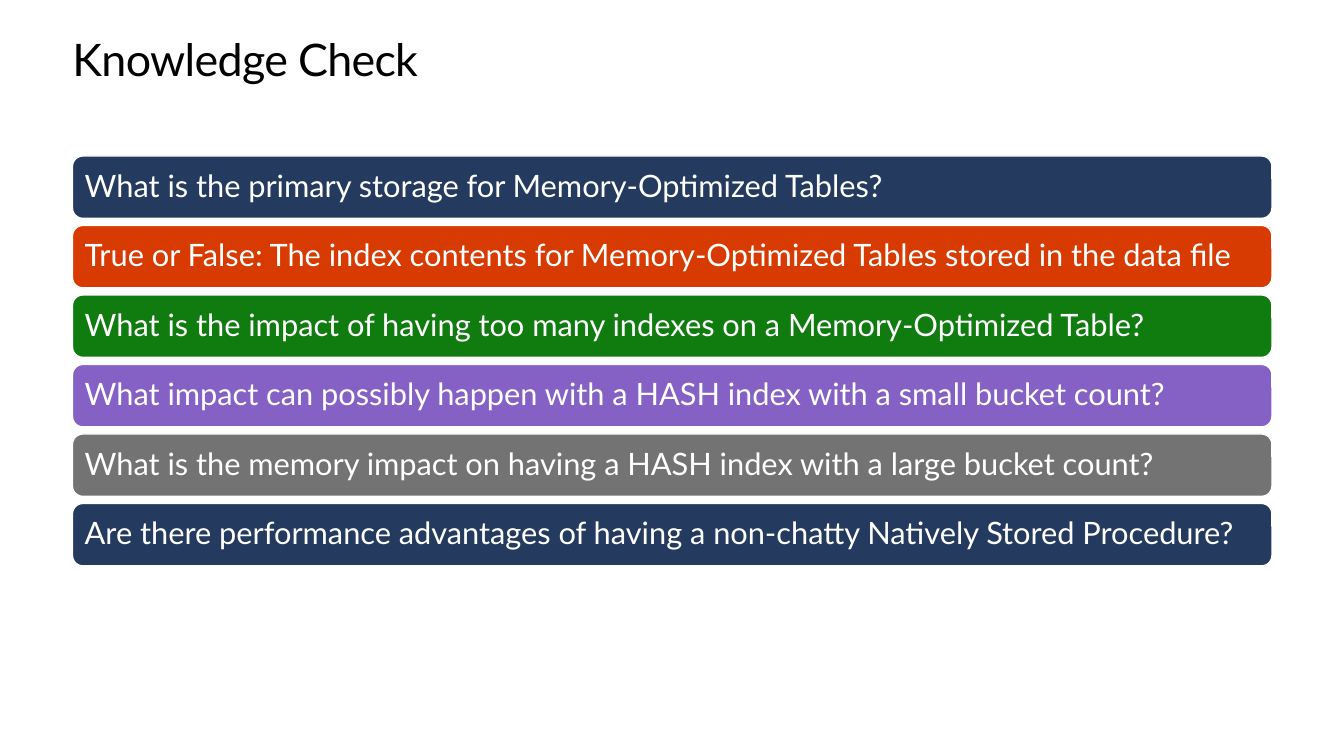
from pptx import Presentation
from pptx.dml.color import RGBColor
from pptx.enum.shapes import MSO_SHAPE
from pptx.enum.text import MSO_ANCHOR, PP_ALIGN
from pptx.util import Pt

LEFT, WIDTH = 51.8, 856.8
FIRST_TOP, BAR_HEIGHT, PITCH = 111.4, 44.6, 49.64


def color(value):
    return RGBColor.from_string(value)


def write(text_frame, text, size, text_color, inset):
    text_frame.word_wrap = True
    text_frame.margin_left = text_frame.margin_right = Pt(inset)
    text_frame.margin_top = text_frame.margin_bottom = Pt(inset)
    text_frame.text = text
    paragraph = text_frame.paragraphs[0]
    paragraph.alignment = PP_ALIGN.LEFT
    font = paragraph.runs[0].font
    font.name = "Lato"
    font.size = Pt(size)
    font.color.rgb = color(text_color)
    return paragraph


presentation = Presentation()
presentation.slide_width = Pt(960)
presentation.slide_height = Pt(540)
slide = presentation.slides.add_slide(presentation.slide_layouts[6])

title = slide.shapes.add_textbox(Pt(LEFT), Pt(25.2), Pt(WIDTH), Pt(36))
title_paragraph = write(title.text_frame, "Knowledge Check", 32, "000000", 0)
title_paragraph.line_spacing = Pt(36.2)
title_paragraph.runs[0].font._element.set("spc", "-50")

questions = [
    ("What is the primary storage for Memory-Optimized Tables?", "243A5E"),
    ("True or False: The index contents for Memory-Optimized Tables stored in the data file", "D83B01"),
    ("What is the impact of having too many indexes on a Memory-Optimized Table?", "107C10"),
    ("What impact can possibly happen with a HASH index with a small bucket count?", "8661C5"),
    ("What is the memory impact on having a HASH index with a large bucket count?", "737373"),
    ("Are there performance advantages of having a non-chatty Natively Stored Procedure?", "243A5E"),
]

for index, (question, fill) in enumerate(questions):
    bar = slide.shapes.add_shape(
        MSO_SHAPE.ROUNDED_RECTANGLE,
        Pt(LEFT), Pt(FIRST_TOP + index * PITCH), Pt(WIDTH), Pt(BAR_HEIGHT),
    )
    bar.shadow.inherit = False
    bar.fill.solid()
    bar.fill.fore_color.rgb = color(fill)
    bar.line.color.rgb = color("FFFFFF")
    bar.line.width = Pt(1)
    bar.text_frame.vertical_anchor = MSO_ANCHOR.MIDDLE
    paragraph = write(bar.text_frame, question, 22, "FFFFFF", 6.6)
    paragraph.line_spacing = 0.9

presentation.save("out.pptx")
